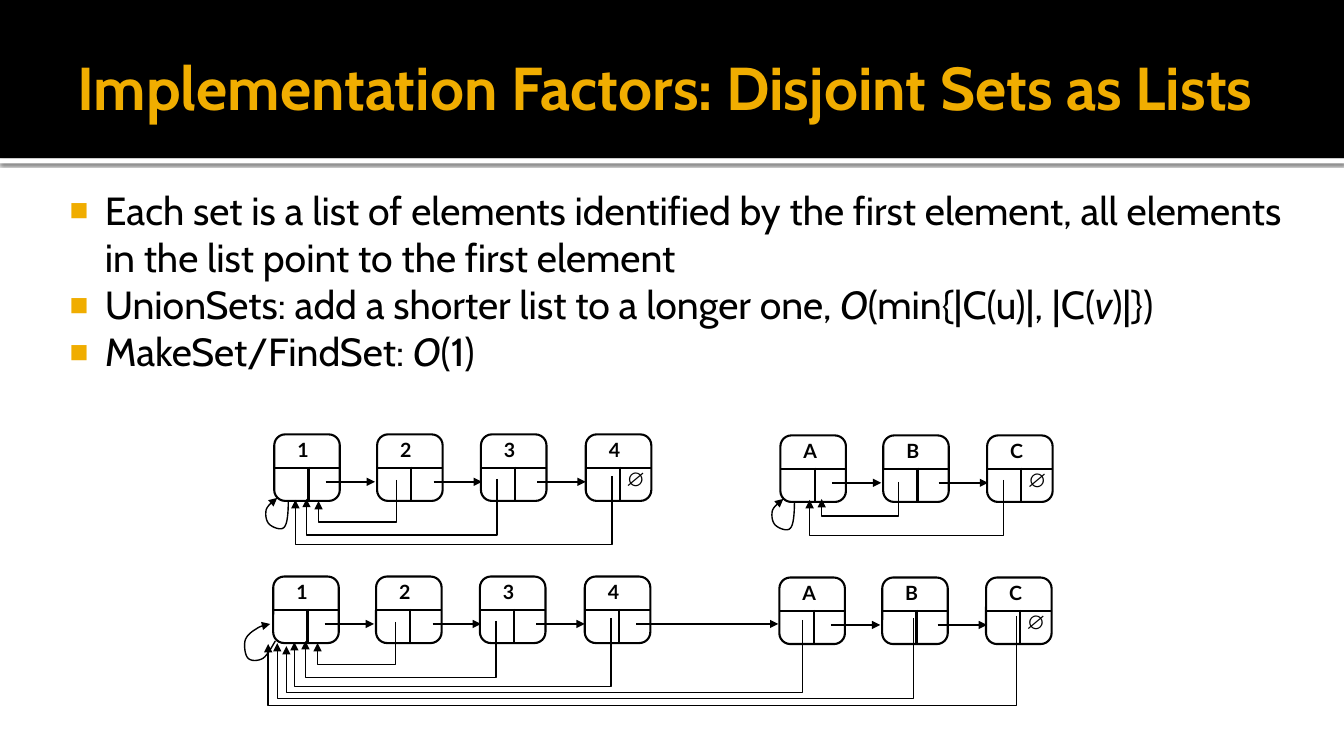
from pptx import Presentation
from pptx.dml.color import RGBColor
from pptx.enum.shapes import MSO_CONNECTOR, MSO_SHAPE
from pptx.enum.text import MSO_ANCHOR, MSO_AUTO_SIZE
from pptx.oxml import parse_xml
from pptx.oxml.ns import nsdecls, qn
from pptx.util import Pt

PX = 9144
BLACK = RGBColor(0x00, 0x00, 0x00)
WHITE = RGBColor(0xFF, 0xFF, 0xFF)
GOLD = RGBColor(0xF0, 0xAD, 0x00)
RECT = MSO_SHAPE.RECTANGLE
ROUND = MSO_SHAPE.ROUNDED_RECTANGLE
STRAIGHT = MSO_CONNECTOR.STRAIGHT
TOP, MIDDLE = MSO_ANCHOR.TOP, MSO_ANCHOR.MIDDLE
GROW, FIXED = MSO_AUTO_SIZE.SHAPE_TO_FIT_TEXT, MSO_AUTO_SIZE.NONE
LEFT, RIGHT = 1, 3

TITLE = "Implementation Factors: Disjoint Sets as Lists"
POINTS = [
    "Each set is a list of elements identified by the first element, "
    "all elements in the list point to the first element",
    "UnionSets: add a shorter list to a longer one, *O*(min{|C(u)|, |C(*v*)|})",
    "MakeSet/FindSet: *O*(1)",
]
DIGITS = [("1", 272), ("2", 374), ("3", 477), ("4", 581)]
LETTERS = [("A", 774), ("B", 876), ("C", 979)]
DIGIT_HOPS = [(323, 372), (430, 478), (533, 581)]
LETTER_HOPS = [(825, 874), (931, 980)]
DIGIT_BACKS = [(393, 45, 87, 316, 66), (493, 44, 100, 304, 64), (607, 41, 109, 293, 65)]
LETTER_BACKS = [(891, 46, 80, 815, 63), (995, 44, 99, 803, 64)]
UNION_BACKS = [(797, 42, 114, 285, 68), (907, 40, 120, 276, 65), (1009, 38, 127, 267, 66)]
LOOP = [(286, 67), (286, 78), (285, 89), (282, 92), (279, 96), (270, 92), (267, 89),
        (264, 86), (263, 80), (264, 75), (265, 71), (270, 67), (275, 63)]
WIDE_LOOP = [(274, 64), (270, 71), (266, 78), (262, 81), (257, 84), (250, 84), (247, 81),
             (244, 78), (243, 69), (244, 64), (245, 59), (250, 55), (255, 52),
             (259, 49), (264, 48), (269, 47)]


def element(tag, inner="", **attrs):
    pairs = " ".join(f'{key}="{value}"' for key, value in attrs.items())
    return parse_xml(f'<a:{tag} {nsdecls("a")} {pairs}>{inner}</a:{tag}>')


def write(frame, text, size, font, color=BLACK, bold=False, bullet=False):
    for index, words in enumerate(text.split("\n")):
        para = frame.add_paragraph() if index else frame.paragraphs[0]
        for part, piece in enumerate(words.split("*")):
            run = para.add_run()
            run.text = piece
            run.font.size = Pt(size)
            run.font.name = font
            run.font.color.rgb = color
            run.font.bold = bold
            run.font.italic = part % 2 == 1
        if bullet:
            props = para._p.get_or_add_pPr()
            props.set("marL", str(48 * PX))
            props.set("indent", str(-35 * PX))
            props.append(element("buClr", f'<a:srgbClr val="{GOLD}"/>'))
            props.append(element("buSzPct", val=80000))
            props.append(element("buFont", typeface="Arial"))
            props.append(element("buChar", char="■"))


def curve(points, steps=8):
    path = [points[0]]
    for start in range(0, len(points) - 1, 3):
        knots = points[start:start + 4]
        for step in range(1, steps + 1):
            t = step / steps
            parts = ((1 - t) ** 3, 3 * t * (1 - t) ** 2, 3 * t * t * (1 - t), t ** 3)
            path.append(tuple(sum(w * knot[axis] for w, knot in zip(parts, knots))
                              for axis in (0, 1)))
    return path


class Board:
    def __init__(self, slide):
        self.shapes = slide.shapes
        self.thick = Pt(1.5)
        self.thin = Pt(1)

    def bar(self, y, h, color, shade=False):
        bar = self.shapes.add_shape(RECT, 0, y * PX, 1333 * PX, h * PX)
        bar.fill.solid()
        bar.fill.fore_color.rgb = color
        bar.line.fill.background()
        bar.shadow.inherit = False
        if shade:
            tint = f'<a:srgbClr val="{BLACK}"><a:alpha val="60000"/></a:srgbClr>'
            bar.element.spPr.find(qn("a:effectLst")).append(element(
                "outerShdw", tint, blurRad=Pt(2.5), dist=Pt(0.8), dir=5400000))

    def text(self, text, x, y, w, h, pads=(10, 5, 10, 5), anchor=TOP, wrap=True, **style):
        frame = self.shapes.add_textbox(x * PX, y * PX, w * PX, h * PX).text_frame
        frame.word_wrap = wrap
        frame.auto_size = FIXED if wrap else GROW
        frame.vertical_anchor = anchor
        (frame.margin_left, frame.margin_top,
         frame.margin_right, frame.margin_bottom) = [pad * PX for pad in pads]
        write(frame, text, **style)

    def ink(self, shape, width, arrow=False):
        shape.line.color.rgb = BLACK
        shape.line.width = width
        if arrow:
            shape.element.spPr.find(qn("a:ln")).append(element("tailEnd", type="triangle"))

    def line(self, x1, y1, x2, y2, width, arrow=False):
        line = self.shapes.add_connector(STRAIGHT, x1 * PX, y1 * PX, x2 * PX, y2 * PX)
        self.ink(line, width, arrow)
        line.element.spPr.append(element("effectLst"))
        return line

    def trail(self, points, dx, dy):
        spots = [((x + dx) * PX, (y + dy) * PX) for x, y in points]
        maker = self.shapes.build_freeform(*spots[0], scale=1.0)
        maker.add_line_segments(spots[1:], close=False)
        trail = maker.convert_to_shape()
        trail.fill.background()
        trail.shadow.inherit = False
        self.ink(trail, self.thin, True)

    def node(self, label, x, y):
        box = self.shapes.add_shape(ROUND, x * PX, y * PX, 65 * PX, 66 * PX)
        box.adjustments[0] = 0.167
        box.fill.background()
        box.shadow.inherit = False
        self.ink(box, self.thick)
        split = self.line(x, y + 33, x + 65, y + 33, self.thick)
        split.begin_connect(box, LEFT)
        split.end_connect(box, RIGHT)
        self.line(x + 34, y + 32, x + 34, y + 65, self.thick)
        self.text(label, x + 13, y - 2, 35, 41, wrap=False, size=14, font="Lato", bold=True)

    def chain(self, nodes, hops, backs, dx, y, end=True):
        for label, x in nodes:
            self.node(label, x + dx, y)
        for start, stop in hops:
            self.line(start + dx, y + 47, stop + dx, y + 47, self.thin, True)
        for start, top, low, stop, tip in backs:
            self.trail([(start, top), (start, low), (stop, low), (stop, tip)], dx, y)
        if end:
            self.text("∅", nodes[-1][1] + dx + 30, y + 27, 38, 41, wrap=False,
                      size=14, font="Arial", bold=True)


def main():
    deck = Presentation()
    deck.slide_width, deck.slide_height = 1333 * PX, 750 * PX
    board = Board(deck.slides.add_slide(deck.slide_layouts[6]))
    board.bar(157, 5, WHITE, shade=True)
    board.bar(0, 157, BLACK)
    board.text(TITLE, 67, 17, 1200, 137, pads=(10, 5, 5, 5), anchor=MIDDLE,
               size=43.2, font="Cabin", color=GOLD, bold=True)
    board.text("\n".join(POINTS), 50, 175, 1250, 225, pads=(6, 10, 10, 5),
               size=28, font="Cabin", bullet=True)

    board.chain(DIGITS, DIGIT_HOPS, DIGIT_BACKS, 0, 431)
    board.trail(curve(LOOP), 0, 431)
    board.chain(LETTERS, LETTER_HOPS, LETTER_BACKS, 0, 432)
    board.trail(curve(LOOP), 502, 432)

    board.chain(DIGITS, DIGIT_HOPS + [(632, 773)], DIGIT_BACKS, -1, 572, end=False)
    board.chain(LETTERS, LETTER_HOPS, UNION_BACKS, -1, 573)
    board.trail(curve(WIDE_LOOP), -1, 572)
    deck.save("out.pptx")


if __name__ == "__main__":
    main()
